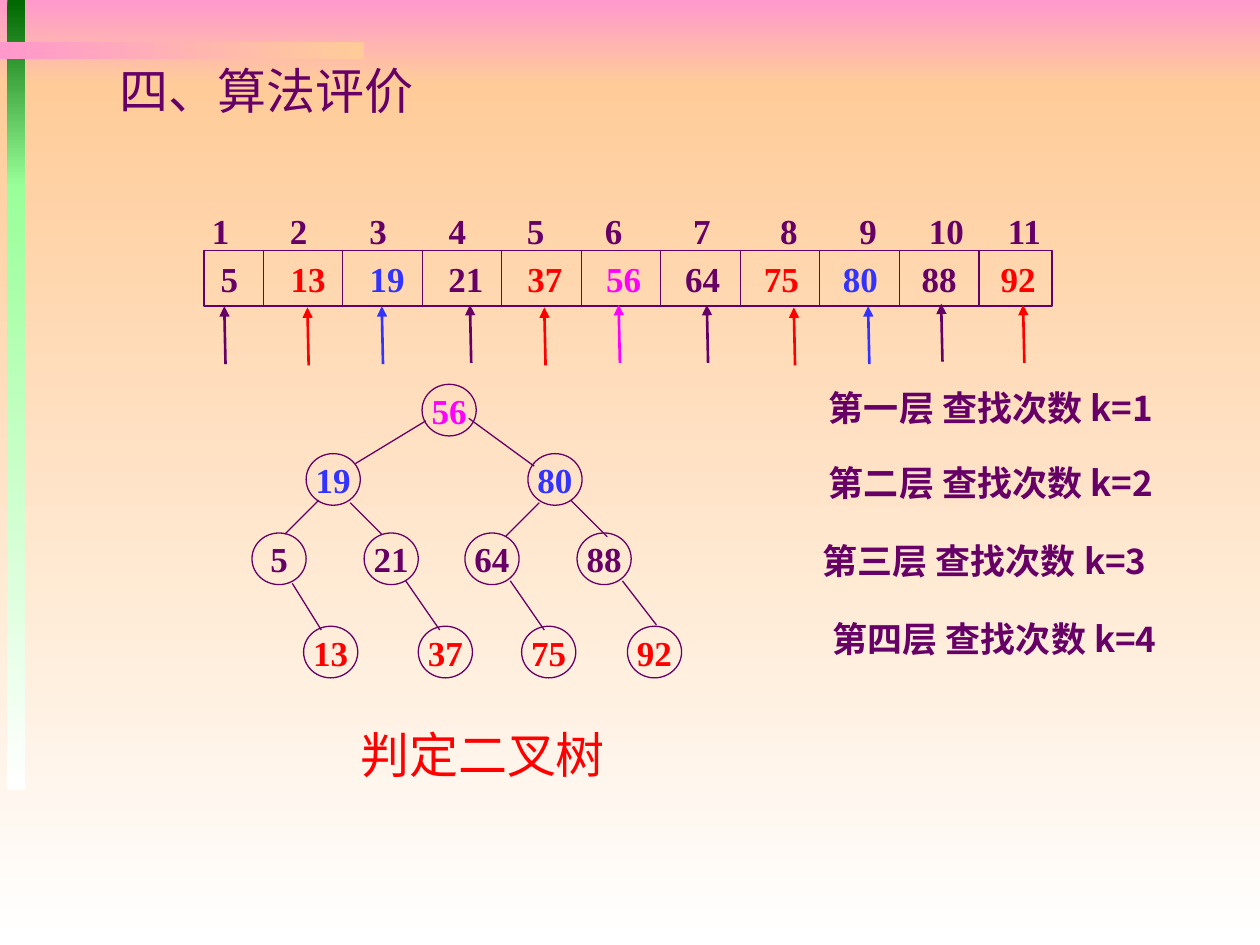
from dataclasses import dataclass
from typing import NamedTuple, Optional

from lxml.etree import SubElement
from pptx import Presentation
from pptx.dml.color import RGBColor
from pptx.enum.shapes import MSO_CONNECTOR, MSO_SHAPE
from pptx.enum.text import MSO_ANCHOR, PP_ALIGN
from pptx.oxml.ns import qn
from pptx.util import Inches, Pt


@dataclass(frozen=True)
class Theme:
    purple: str = "660066"
    red: str = "FF0000"
    blue: str = "3333FF"
    magenta: str = "FF00FF"
    pink: str = "FF99CC"
    peach: str = "FFCC99"
    dark_green: str = "006600"
    light_green: str = "99FF99"
    white: str = "FFFFFF"
    number_font: str = "Times New Roman"
    label_font: str = "Noto Sans CJK SC"
    caption_font: str = "Roboto Condensed"
    title_font: str = "Arial"
    body_size: int = 20
    heading_size: int = 28
    thin: float = 0.75
    thick: float = 1.5


THEME = Theme()


class Band(NamedTuple):
    left: float
    top: float
    width: float
    height: float
    start: str
    end: str
    angle: int = 270


class Node(NamedTuple):
    value: int
    left: float
    top: float


class Entry(NamedTuple):
    value: int
    arrow_left: float
    arrow_top: float


class Edge(NamedTuple):
    x1: float
    y1: float
    x2: float
    y2: float


class Label(NamedTuple):
    text: str
    left: float
    top: float
    width: float
    height: float
    font: str
    size: int
    color: str
    bold: bool = False
    align: Optional[PP_ALIGN] = PP_ALIGN.CENTER
    inset: float = 0


BANDS = [
    Band(0, 0, 10, 0.67, THEME.pink, THEME.peach),
    Band(0, 0.67, 10, 6.83, THEME.peach, THEME.white),
    Band(0.06, 0, 0.14, 1.48, THEME.dark_green, THEME.light_green),
    Band(0.06, 1.46, 0.14, 4.81, THEME.light_green, THEME.white),
    Band(0, 0.33, 2.89, 0.14, THEME.pink, THEME.peach, 0),
]
LEVELS = [
    (3.05, THEME.magenta, {56: 3.35}),
    (3.6, THEME.blue, {19: 2.43, 80: 4.19}),
    (4.23, THEME.purple, {5: 2, 21: 2.89, 64: 3.69, 88: 4.58}),
    (4.97, THEME.red, {13: 2.41, 37: 3.32, 75: 4.14, 92: 4.98}),
]
VALUE_COLORS = {value: color for _, color, nodes in LEVELS for value in nodes}
EDGES = [
    Edge(3.38, 3.34, 2.82, 3.68), Edge(3.72, 3.32, 4.24, 3.7),
    Edge(2.53, 3.97, 2.26, 4.24), Edge(2.78, 3.99, 3.03, 4.24),
    Edge(4.28, 3.99, 4.01, 4.26), Edge(4.53, 3.97, 4.82, 4.26),
    Edge(2.32, 4.63, 2.55, 5), Edge(3.22, 4.61, 3.49, 5),
    Edge(4.05, 4.61, 4.32, 5), Edge(4.94, 4.61, 5.21, 4.96),
]
ENTRIES = [
    Entry(5, 1.78, 2.43), Entry(13, 2.44, 2.44), Entry(19, 3.03, 2.43),
    Entry(21, 3.73, 2.42), Entry(37, 4.32, 2.44), Entry(56, 4.91, 2.42),
    Entry(64, 5.61, 2.42), Entry(75, 6.3, 2.44), Entry(80, 6.89, 2.43),
    Entry(88, 7.47, 2.41), Entry(92, 8.12, 2.42),
]
INDEX_CENTERS = [1.75, 2.37, 3, 3.63, 4.25, 4.87, 5.57, 6.26, 6.89, 7.51, 8.13]
VALUE_CENTERS = [1.82 + 0.626 * position for position in range(len(ENTRIES))]
LEVEL_LABELS = [("一", 6.2, 3.07), ("二", 6.2, 3.66), ("三", 6.15, 4.28), ("四", 6.23, 4.9)]


def rgb(color: str) -> RGBColor:
    return RGBColor.from_string(color)


def set_font(font, name: str, size: int, bold: bool) -> None:
    font.name, font.size, font.bold = name, Pt(size), bold


def set_insets(frame, horizontal: float, vertical: float) -> None:
    frame.margin_left = frame.margin_right = Inches(horizontal)
    frame.margin_top = frame.margin_bottom = Inches(vertical)


def add_band(page, band: Band) -> None:
    shape = page.shapes.add_shape(MSO_SHAPE.RECTANGLE, *map(Inches, band[:4]))
    shape.shadow.inherit = False
    shape.line.fill.background()
    shape.fill.gradient()
    shape.fill.gradient_angle = band.angle
    for stop, color, position in zip(shape.fill.gradient_stops, (band.start, band.end), (0, 1)):
        stop.color.rgb, stop.position = rgb(color), position


def add_outline(page, kind: MSO_SHAPE, left: float, top: float, width: float, height: float):
    shape = page.shapes.add_shape(kind, *map(Inches, (left, top, width, height)))
    shape.shadow.inherit = False
    shape.fill.background()
    shape.line.color.rgb, shape.line.width = rgb(THEME.purple), Pt(THEME.thin)
    return shape


def add_line(page, edge: Edge, color: str, width: float, arrow: bool = False) -> None:
    line = page.shapes.add_connector(MSO_CONNECTOR.STRAIGHT, *map(Inches, edge))
    line.line.color.rgb, line.line.width = rgb(color), Pt(width)
    properties = line._element.spPr
    if arrow:
        SubElement(properties.find(qn("a:ln")), qn("a:tailEnd"), type="triangle")
    SubElement(properties, qn("a:effectLst"))


def add_node(page, node: Node) -> None:
    circle = add_outline(page, MSO_SHAPE.OVAL, node.left, node.top, 0.43, 0.41)
    frame = circle.text_frame
    frame.word_wrap = False
    set_insets(frame, 0.1, 0.05)
    paragraph = frame.paragraphs[0]
    paragraph.text, paragraph.alignment = str(node.value), PP_ALIGN.CENTER
    set_font(paragraph.font, THEME.number_font, THEME.body_size, True)
    paragraph.runs[0].font.color.rgb = rgb(VALUE_COLORS[node.value])


def fill_row(box, numbers: list[int], colors: list[str], centers: list[float]) -> None:
    frame = box.text_frame
    frame.word_wrap = True
    set_insets(frame, 0, 0.05)
    paragraph = frame.paragraphs[0]
    paragraph.alignment = PP_ALIGN.LEFT
    tabs = SubElement(paragraph._p.get_or_add_pPr(), qn("a:tabLst"))
    for center in centers:
        SubElement(tabs, qn("a:tab"), pos=str(Inches(center) - box.left), algn="ctr")
    set_font(paragraph.font, THEME.number_font, THEME.body_size, True)
    for number, color in zip(numbers, colors):
        span = paragraph.add_run()
        span.text = f"\t{number}"
        span.font.color.rgb = rgb(color)


def add_label(page, label: Label) -> None:
    box = page.shapes.add_textbox(*map(Inches, label[1:5]))
    frame = box.text_frame
    frame.word_wrap = True
    set_insets(frame, label.inset, 0.05 if label.inset else 0)
    frame.vertical_anchor = MSO_ANCHOR.MIDDLE if label.inset else MSO_ANCHOR.TOP
    paragraph = frame.paragraphs[0]
    paragraph.text, paragraph.alignment = label.text, label.align
    set_font(paragraph.font, label.font, label.size, label.bold)
    paragraph.font.color.rgb = rgb(label.color)


def main() -> None:
    """Build the binary search evaluation slide with its array and decision tree."""
    deck = Presentation()
    deck.slide_width, deck.slide_height = Inches(10), Inches(7.5)
    page = deck.slides.add_slide(deck.slide_layouts[6])
    for band in BANDS:
        add_band(page, band)
    index_box = page.shapes.add_textbox(*map(Inches, (1.59, 1.61, 6.81, 0.44)))
    count = len(ENTRIES)
    fill_row(index_box, list(range(1, count + 1)), [THEME.purple] * count, INDEX_CENTERS)
    for top, _, nodes in LEVELS:
        for value, left in nodes.items():
            add_node(page, Node(value, left, top))
    for edge in EDGES:
        add_line(page, edge, THEME.purple, THEME.thin)
    values = [entry.value for entry in ENTRIES]
    colors = [VALUE_COLORS[value] for value in values]
    array_box = add_outline(page, MSO_SHAPE.RECTANGLE, 1.62, 1.99, 6.73, 0.44)
    fill_row(array_box, values, colors, VALUE_CENTERS)
    for position in range(count - 1):
        divider = 2.09 + 0.631 * position
        add_line(page, Edge(divider, 1.99, divider, 2.43), THEME.purple, THEME.thin)
    for (_, left, top), color in zip(ENTRIES, colors):
        add_line(page, Edge(left + 0.01, top + 0.46, left, top), color, THEME.thick, arrow=True)
    for number, (level, left, top) in enumerate(LEVEL_LABELS, start=1):
        add_label(page, Label(f"第{level}层 查找次数 k={number}", left, top, 3.33, 0.49,
                              THEME.label_font, THEME.body_size, THEME.purple, True))
    add_label(page, Label("判定二叉树", 1.57, 5.71, 4.52, 0.55, THEME.caption_font,
                          THEME.heading_size, THEME.red, inset=0.1))
    add_label(page, Label("四、算法评价", 0.35, 0.44, 9.3, 0.55, THEME.title_font,
                          THEME.heading_size, THEME.purple, align=PP_ALIGN.LEFT, inset=0.6))
    deck.save("out.pptx")


if __name__ == "__main__":
    main()
